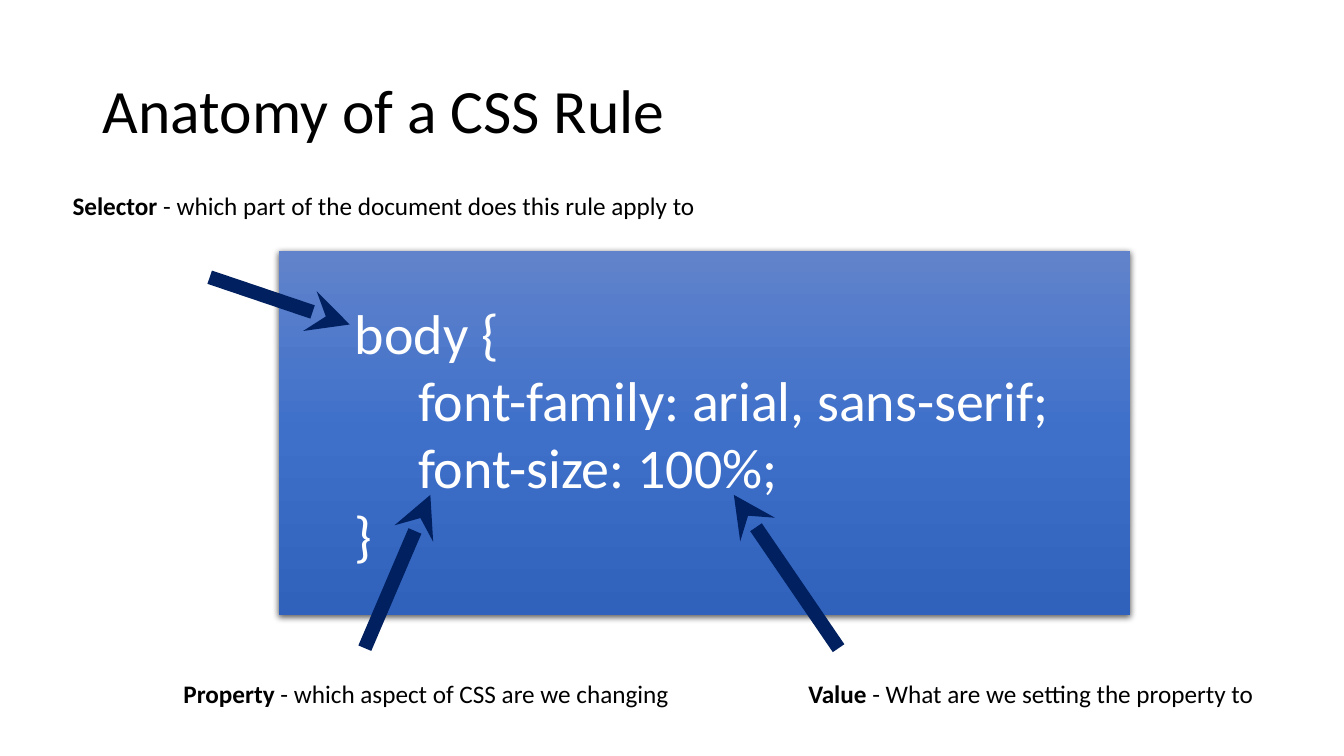
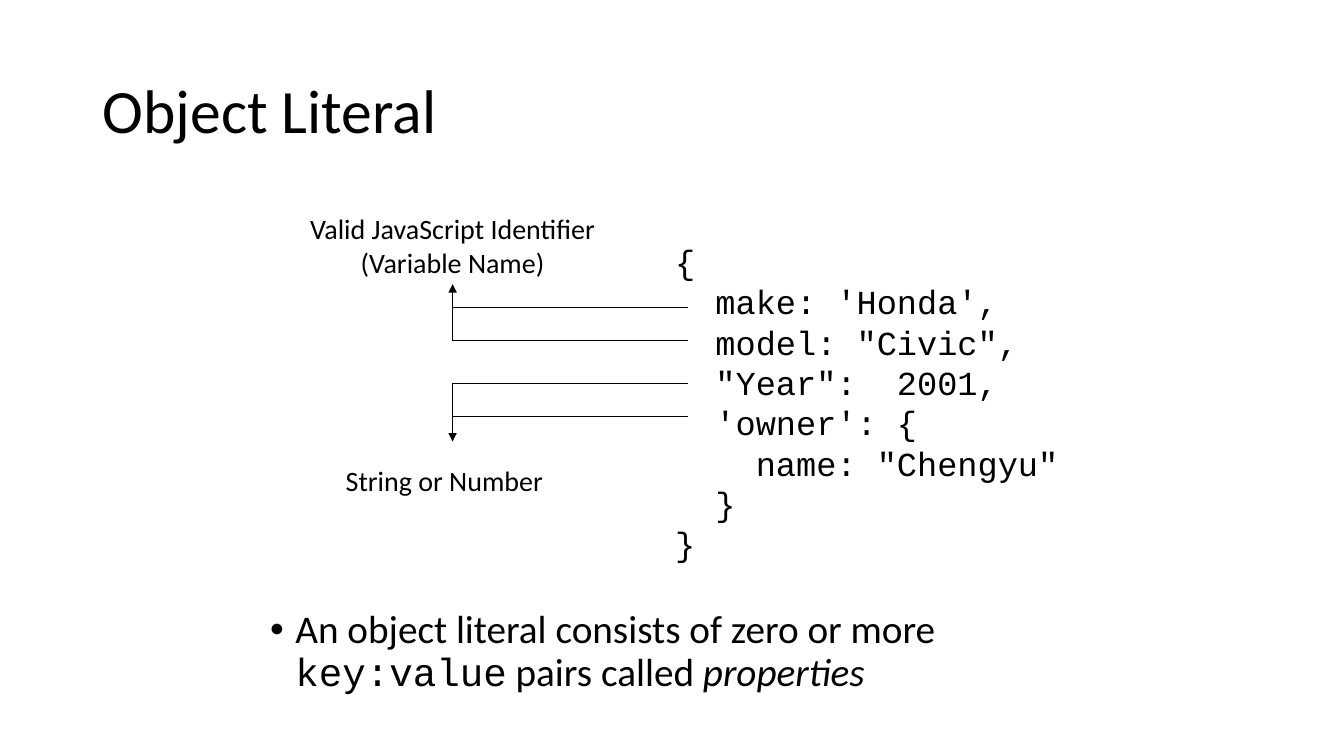
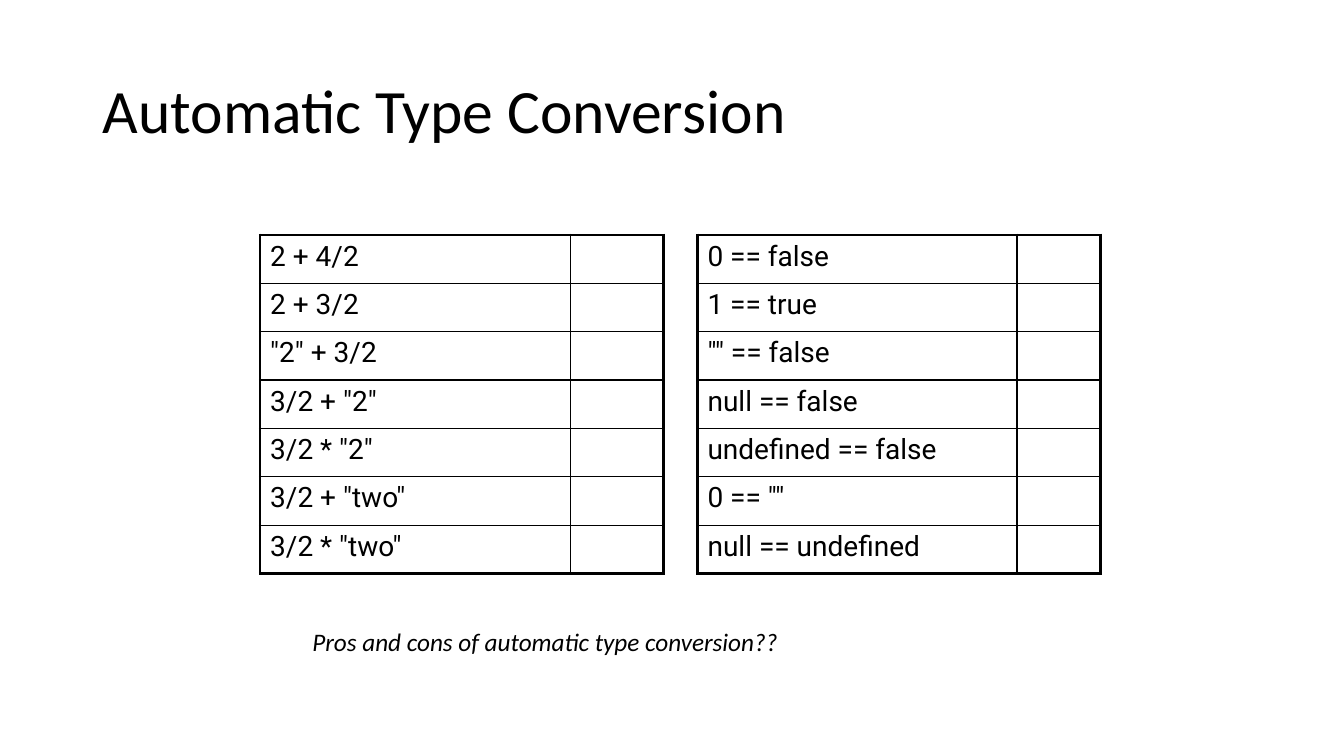
"""Build three slides on CSS rules, object literals and type conversion."""
from dataclasses import dataclass

from lxml import etree
from pptx import Presentation
from pptx.dml.color import RGBColor
from pptx.enum.shapes import MSO_CONNECTOR, MSO_SHAPE
from pptx.enum.text import MSO_ANCHOR, MSO_AUTO_SIZE, PP_ALIGN
from pptx.oxml import parse_xml
from pptx.oxml.ns import nsdecls, qn
from pptx.util import Pt

STRAIGHT = MSO_CONNECTOR.STRAIGHT
RECT = MSO_SHAPE.RECTANGLE
LEFT, CENTER = PP_ALIGN.LEFT, PP_ALIGN.CENTER
TOP, MIDDLE = MSO_ANCHOR.TOP, MSO_ANCHOR.MIDDLE
NO_FIT, GROW = MSO_AUTO_SIZE.NONE, MSO_AUTO_SIZE.SHAPE_TO_FIT_TEXT
BOTTOM_SITE = 2
TITLE_AND_CONTENT, TITLE_ONLY = 1, 5

COLORS = {
    "text": "000000",
    "light": "FFFFFF",
    "arrow": "002060",
    "grad_top": "6183CB",
    "grad_mid": "3E70CA",
    "grad_end": "3062BB",
}
SANS, MONO, TABLE_FONT = "Calibri", "Courier New", "Roboto"
ROW_H = 34.56
THIN, THICK = 1, 2.25


@dataclass(frozen=True)
class Box:
    x: float
    y: float
    w: float
    h: float

    def lengths(self) -> tuple:
        return Pt(self.x), Pt(self.y), Pt(self.w), Pt(self.h)


@dataclass(frozen=True)
class Run:
    text: str
    size: float
    font: str = SANS
    color: str = "text"
    bold: bool = False
    italic: bool = False


@dataclass(frozen=True)
class Label:
    term: str
    meaning: str
    box: Box


@dataclass(frozen=True)
class Line:
    x1: float
    y1: float
    x2: float
    y2: float
    color: str = "text"
    width: float = 0.75
    tip: str = ""


@dataclass(frozen=True)
class Quiz:
    x: float
    widths: tuple
    expressions: tuple


LABELS = (
    Label("Property", " - which aspect of CSS are we changing", Box(131, 450, 353.5, 90)),
    Label("Selector", " - which part of the document does this rule apply to",
          Box(51.8, 81.4, 452.2, 131)),
    Label("Value", " - What are we setting the property to", Box(577.4, 450, 370, 90)),
)
POINTERS = tuple(
    Line(*ends, "arrow", 10, "stealth")
    for ends in (
        (149.8, 198, 249.8, 231.8),
        (260.6, 463, 307.4, 353.5),
        (599, 463, 524.2, 353.5),
    )
)
CSS_RULE = (
    "      body {",
    "           font-family: arial, sans-serif;",
    "           font-size: 100%;",
    "      }",
)
OBJECT_CODE = (
    "{",
    "  make: 'Honda',",
    '  model: "Civic",',
    '  "Year":  2001,',
    "  'owner': {",
    '    name: "Chengyu"',
    "  }",
    "}",
)
RAIL_X, CODE_X = 323.3, 491.8
KEY_YS = (219.6, 243.4, 273.6, 297.4)
QUIZZES = (
    Quiz(185.8, (221.8, 66.2), (
        "2 + 4/2", "2 + 3/2", '"2" + 3/2', '3/2 + "2"', '3/2 * "2"',
        '3/2 + "two"', '3/2 * "two"')),
    Quiz(498.2, (228.2, 59.8), (
        "0 == false", "1 == true", '"" == false', "null == false",
        "undefined == false", '0 == ""', "null == undefined")),
)


def rgb(name: str) -> RGBColor:
    return RGBColor.from_string(COLORS[name])


def write(tf, paragraphs: list, align=LEFT, spacing: float = 1.0) -> None:
    for i, runs in enumerate(paragraphs):
        p = tf.add_paragraph() if i else tf.paragraphs[0]
        p.alignment, p.line_spacing, p.space_before = align, spacing, Pt(0)
        for item in runs:
            r = p.add_run()
            r.text = item.text
            r.font.size, r.font.name = Pt(item.size), item.font
            r.font.bold, r.font.italic = item.bold, item.italic
            r.font.color.rgb = rgb(item.color)


def frame(tf, anchor, wrap: bool, fit, inset: bool) -> None:
    tf.vertical_anchor, tf.word_wrap, tf.auto_size = anchor, wrap, fit
    if not inset:
        tf.margin_left = tf.margin_top = tf.margin_right = tf.margin_bottom = Pt(0)


def place(sp, box: Box) -> None:
    sp.left, sp.top, sp.width, sp.height = box.lengths()


def add_slide(prs, title: str, layout: int = TITLE_ONLY):
    slide = prs.slides.add_slide(prs.slide_layouts[layout])
    sp = slide.shapes.title
    place(sp, Box(66.2, 28.8, 828, 104.4))
    frame(sp.text_frame, MIDDLE, True, NO_FIT, True)
    write(sp.text_frame, [[Run(title, 44)]], spacing=0.9)
    return slide


def add_text(slide, box: Box, paragraphs: list, align=LEFT):
    sp = slide.shapes.add_textbox(*box.lengths())
    frame(sp.text_frame, TOP, False, GROW, True)
    write(sp.text_frame, paragraphs, align)
    return sp


def add_label(slide, label: Label) -> None:
    sp = slide.shapes.add_textbox(*label.box.lengths())
    frame(sp.text_frame, MIDDLE, True, NO_FIT, False)
    write(sp.text_frame, [[Run(label.term, 18, bold=True), Run(label.meaning, 18)]])


def add_line(slide, line: Line):
    cx = slide.shapes.add_connector(
        STRAIGHT, Pt(line.x1), Pt(line.y1), Pt(line.x2), Pt(line.y2))
    cx.line.color.rgb = rgb(line.color)
    cx.line.width = Pt(line.width)
    if line.tip:
        ln = cx._element.spPr.find(qn("a:ln"))
        etree.SubElement(ln, qn("a:tailEnd"), type=line.tip)
    etree.SubElement(cx._element.spPr, qn("a:effectLst"))
    return cx


def add_rule_panel(slide) -> None:
    sp = slide.shapes.add_shape(RECT, *Box(199.4, 179.3, 607.7, 259.9).lengths())
    sp.line.fill.background()
    sp.shadow.inherit = False
    spPr = sp._element.spPr
    stops = "".join(
        f'<a:gs pos="{pos}"><a:srgbClr val="{COLORS[name]}"/></a:gs>'
        for pos, name in ((0, "grad_top"), (50000, "grad_mid"), (100000, "grad_end")))
    spPr.find(qn("a:ln")).addprevious(parse_xml(
        f'<a:gradFill {nsdecls("a")}><a:gsLst>{stops}</a:gsLst>'
        '<a:lin ang="5400000" scaled="0"/></a:gradFill>'))
    spPr.find(qn("a:effectLst")).append(parse_xml(
        f'<a:outerShdw {nsdecls("a")} blurRad="{Pt(4.5)}" dist="{Pt(1.5)}" '
        f'dir="5400000" rotWithShape="0"><a:srgbClr val="{COLORS["text"]}">'
        '<a:alpha val="63000"/></a:srgbClr></a:outerShdw>'))
    frame(sp.text_frame, MIDDLE, True, NO_FIT, False)
    write(sp.text_frame, [[Run(text, 40, color="light")] for text in CSS_RULE])


def set_borders(cell, widths: dict) -> None:
    tcPr = cell._tc.get_or_add_tcPr()
    for side, width in widths.items():
        tcPr.append(parse_xml(
            f'<a:ln{side} {nsdecls("a")} w="{Pt(width)}"><a:solidFill>'
            f'<a:srgbClr val="{COLORS["text"]}"/></a:solidFill></a:ln{side}>'))


def add_quiz(slide, quiz: Quiz) -> None:
    rows, cols = len(quiz.expressions), len(quiz.widths)
    box = Box(quiz.x, 167.8, sum(quiz.widths), rows * ROW_H)
    table = slide.shapes.add_table(rows, cols, *box.lengths()).table
    table.first_row = table.horz_banding = False
    for col, width in zip(table.columns, quiz.widths):
        col.width = Pt(width)
    for i, expression in enumerate(quiz.expressions):
        table.rows[i].height = Pt(ROW_H)
        write(table.cell(i, 0).text_frame, [[Run(expression, 20, TABLE_FONT)]])
        for j in range(cols):
            cell = table.cell(i, j)
            outer = {"L": j == 0, "R": j == cols - 1, "T": i == 0, "B": i == rows - 1}
            set_borders(cell, {s: THICK if edge else THIN for s, edge in outer.items()})
            cell.fill.background()


def build_css_rule(prs) -> None:
    slide = add_slide(prs, "Anatomy of a CSS Rule")
    add_rule_panel(slide)
    for label in LABELS:
        add_label(slide, label)
    for pointer in POINTERS:
        add_line(slide, pointer)


def build_object_literal(prs) -> None:
    slide = add_slide(prs, "Object Literal", TITLE_AND_CONTENT)
    body = slide.placeholders[1]
    place(body, Box(185.8, 432, 612, 90))
    frame(body.text_frame, TOP, True, NO_FIT, True)
    pPr = body.text_frame.paragraphs[0]._p.get_or_add_pPr()
    pPr.set("marL", str(Pt(18)))
    pPr.set("indent", str(Pt(-18)))
    write(body.text_frame, [[
        Run("An object literal consists of zero or more ", 28),
        Run("key:value", 28, MONO),
        Run(" pairs called ", 28),
        Run("properties", 28, italic=True),
    ]], spacing=0.9)
    add_text(slide, Box(475.2, 168.5, 290.2, 239.8),
             [[Run(text, 24, MONO)] for text in OBJECT_CODE])
    identifier = add_text(
        slide, Box(RAIL_X - 110, 147.6, 220, 55.4),
        [[Run("Valid JavaScript Identifier", 20)], [Run("(Variable Name)", 20)]], CENTER)
    add_text(slide, Box(239.8, 327.6, 157, 31.7), [[Run("String or Number", 20)]])
    for y in KEY_YS:
        add_line(slide, Line(RAIL_X, y, CODE_X, y))
    up = add_line(slide, Line(RAIL_X, KEY_YS[1], RAIL_X, 203, tip="triangle"))
    up.end_connect(identifier, BOTTOM_SITE)
    add_line(slide, Line(RAIL_X, KEY_YS[2], RAIL_X, 315.4, tip="triangle"))


def build_type_conversion(prs) -> None:
    slide = add_slide(prs, "Automatic Type Conversion")
    for quiz in QUIZZES:
        add_quiz(slide, quiz)
    add_text(slide, Box(216, 444.2, 350.6, 28.8),
             [[Run("Pros and cons of automatic type conversion??", 18, italic=True)]])


def main() -> None:
    prs = Presentation()
    prs.slide_width, prs.slide_height = Pt(960), Pt(540)
    build_css_rule(prs)
    build_object_literal(prs)
    build_type_conversion(prs)
    prs.save("out.pptx")


if __name__ == "__main__":
    main()
